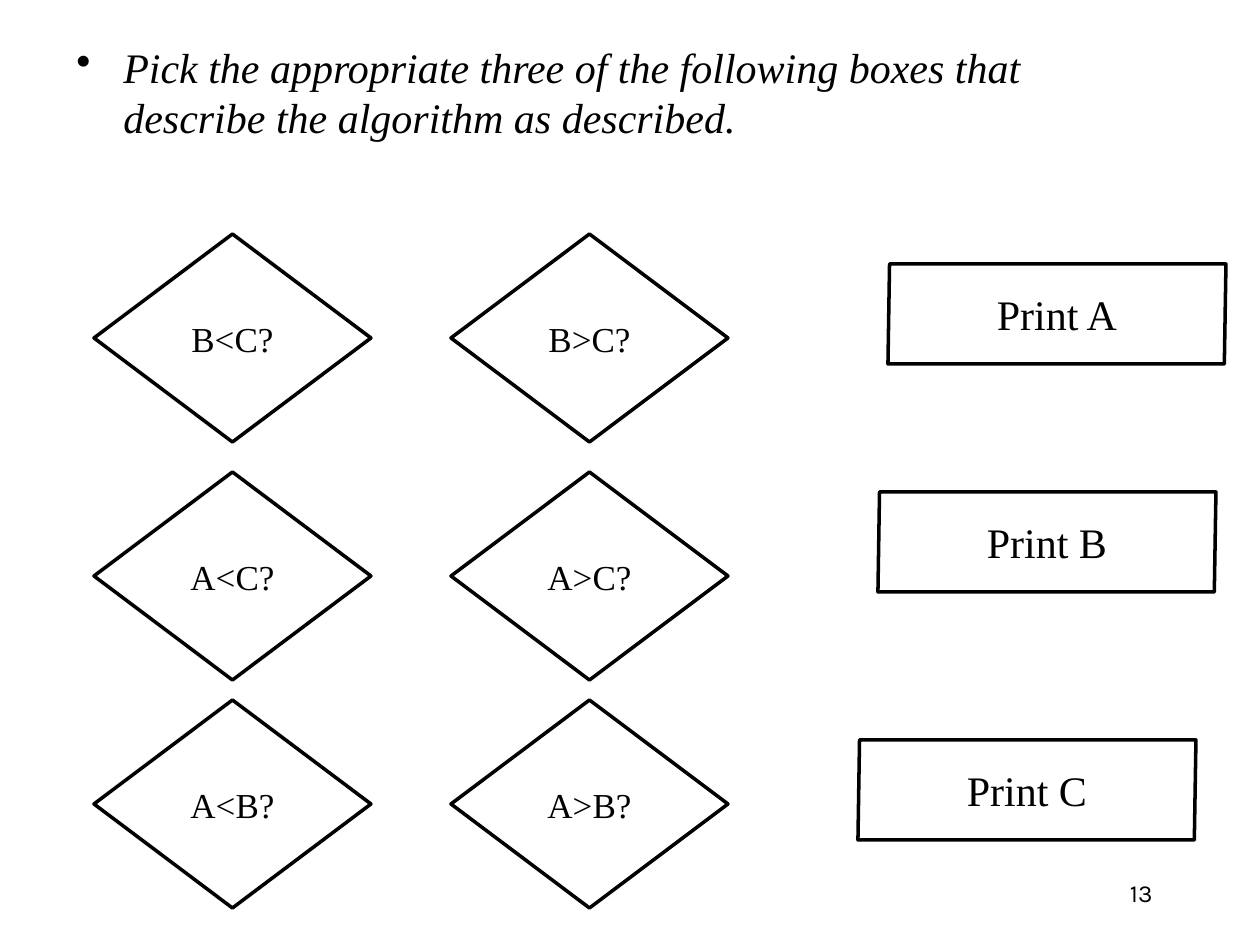
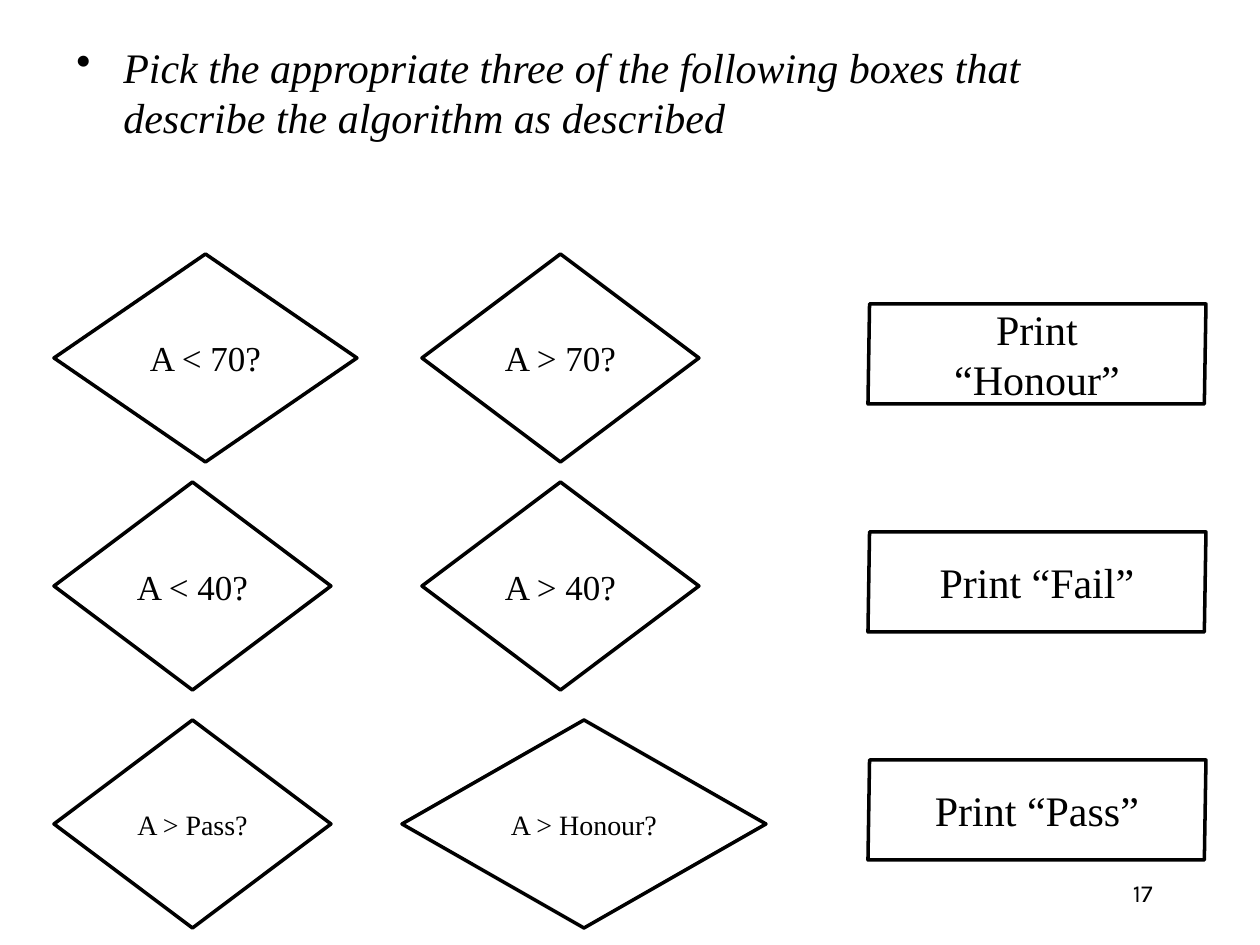
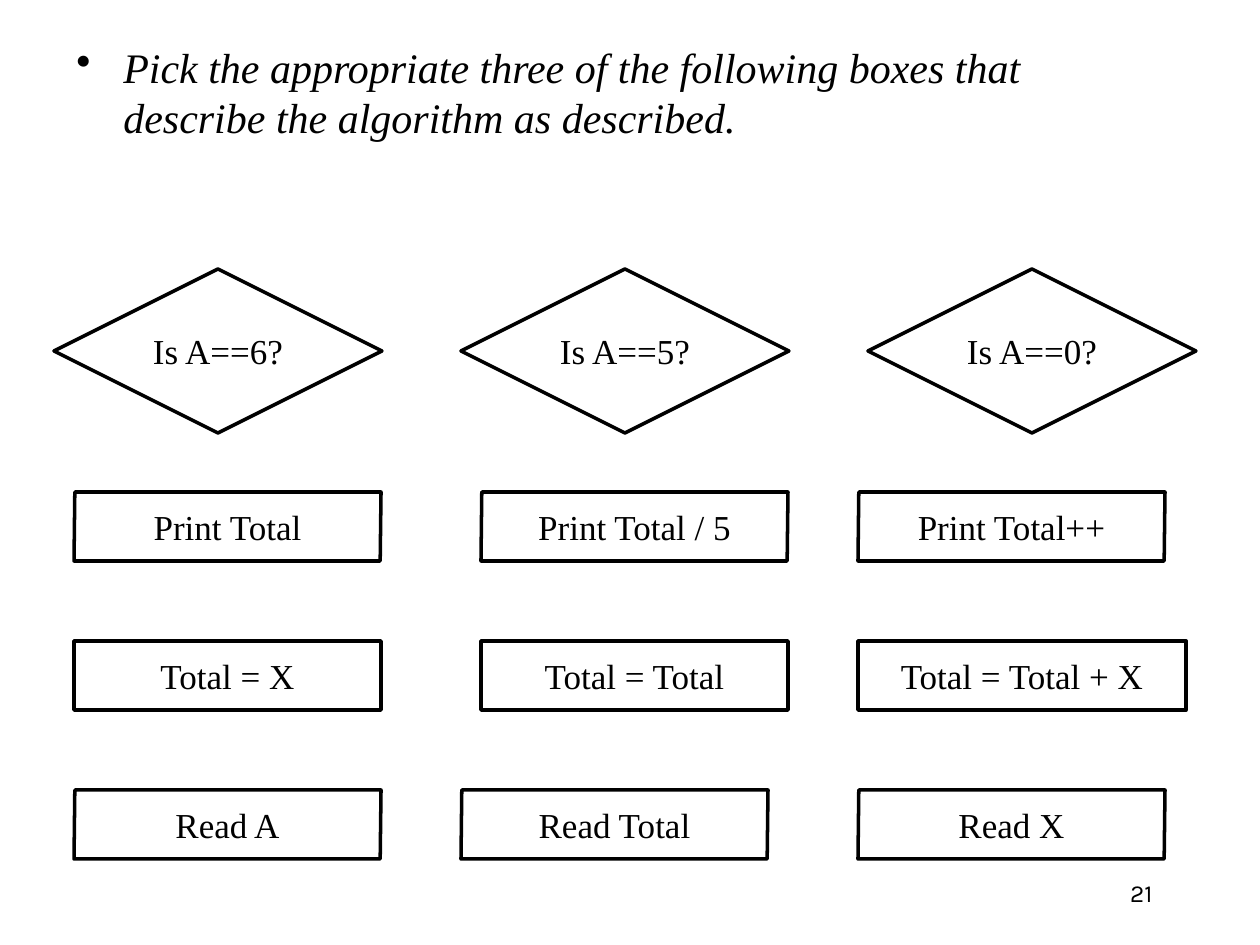
from lxml.etree import SubElement
from pptx import Presentation
from pptx.dml.color import RGBColor
from pptx.enum.shapes import MSO_SHAPE as Shape
from pptx.enum.text import MSO_ANCHOR as Anchor, PP_ALIGN as Align
from pptx.oxml.ns import qn
from pptx.util import Emu, Pt

PX_PER_INCH = 126
PROMPT = "Pick the appropriate three of the following boxes that describe the algorithm as described"


def px(length):
    return Emu(round(length * 914400 / PX_PER_INCH))


def color(hex_string):
    return RGBColor.from_string(hex_string)


class Deck:
    INK = "000000"
    SERIF = "Times New Roman"
    SANS = "Karla"
    BLANK_LAYOUT = 6

    def __init__(self):
        self.presentation = Presentation()
        self.presentation.slide_width = px(1260)
        self.presentation.slide_height = px(945)
        self.slide = None

    def new_slide(self, prompt, number):
        layout = self.presentation.slide_layouts[self.BLANK_LAYOUT]
        self.slide = self.presentation.slides.add_slide(layout)
        self.bullet(prompt)
        self.text_box(903, 872, 262, 53, number, 14, self.SANS, Align.RIGHT)

    def set_text(self, shape, text, size, font, align):
        shape.text_frame.word_wrap = True
        paragraph = shape.text_frame.paragraphs[0]
        paragraph.text = text
        paragraph.alignment = align
        paragraph.font.name = font
        paragraph.font.size = Pt(size)
        paragraph.font.color.rgb = color(self.INK)
        return paragraph

    def text_box(self, left, top, width, height, text, size, font, align):
        box = self.slide.shapes.add_textbox(px(left), px(top), px(width), px(height))
        return self.set_text(box, text, size, font, align)

    def bullet(self, text):
        paragraph = self.text_box(64, 35, 1121, 258, text, 24, self.SERIF, Align.LEFT)
        paragraph.font.italic = True
        properties = paragraph._p.get_or_add_pPr()
        properties.set("marL", str(px(47)))
        properties.set("indent", str(-px(47)))
        # Bullet elements must come before the default run properties
        mark = SubElement(properties, qn("a:buChar"), char="•")
        properties.insert(0, mark)

    def outlined(self, kind, left, top, width, height, text, size):
        shape = self.slide.shapes.add_shape(kind, px(left), px(top), px(width), px(height))
        shape.shadow.inherit = False
        shape.fill.background()
        shape.line.color.rgb = color(self.INK)
        shape.line.width = Pt(2)
        shape.text_frame.vertical_anchor = Anchor.MIDDLE
        self.set_text(shape, text, size, self.SERIF, Align.CENTER)
        return shape

    def decision(self, left, top, text, width=277, height=208, size=20):
        self.outlined(Shape.DIAMOND, left, top, width, height, text, size)

    def action(self, left, top, text, width=338, height=100, size=24, slant=0.016):
        shape = self.outlined(Shape.PARALLELOGRAM, left, top, width, height, text, size)
        shape.adjustments[0] = slant


def largest_of_three(deck):
    deck.new_slide(PROMPT + ".", "13")
    # Comparisons in pairs
    rows = [(234, "B", "C"), (472, "A", "C"), (700, "A", "B")]
    for top, first, second in rows:
        for left, sign in [(94, "<"), (451, ">")]:
            deck.decision(left, top, f"{first}{sign}{second}?")
    # Outputs
    for left, top, name in [(888, 264, "A"), (878, 492, "B"), (858, 740, "C")]:
        deck.action(left, top, f"Print {name}")


def grading(deck):
    deck.new_slide(PROMPT, "17")
    # Mark thresholds
    deck.decision(54, 254, "A < 70?", width=303)
    deck.decision(54, 482, "A < 40?")
    for top, mark in [(254, 70), (482, 40)]:
        deck.decision(422, top, f"A > {mark}?")
    # Grade names
    for left, width, grade in [(54, 277, "Pass"), (402, 364, "Honour")]:
        deck.decision(left, 720, f"A > {grade}?", width=width, size=16)
    # Outputs
    for row, grade in enumerate(["Honour", "Fail", "Pass"]):
        deck.action(868, 304 + 228 * row, f"Print “{grade}”")


def running_total(deck):
    deck.new_slide(PROMPT + ".", "21")
    # Loop tests
    for column, value in enumerate([6, 5, 0]):
        deck.decision(54 + 407 * column, 269, f"Is A=={value}?", width=328, height=164)
    # Steps: slant and (left, width, text) of each box in the row
    rows = [
        (0.012, [(74, 307, "Print Total"), (481, 307, "Print Total / 5"), (858, 307, "Print Total++")]),
        (0, [(74, 307, "Total = X"), (481, 307, "Total = Total"), (858, 328, "Total = Total + X")]),
        (0.012, [(74, 307, "Read A"), (461, 307, "Read Total"), (858, 307, "Read X")]),
    ]
    for row, (slant, steps) in enumerate(rows):
        for left, width, text in steps:
            deck.action(left, 492 + 149 * row, text, width, height=69, size=20, slant=slant)


def main():
    deck = Deck()
    largest_of_three(deck)
    grading(deck)
    running_total(deck)
    deck.presentation.save("out.pptx")


if __name__ == "__main__":
    main()
